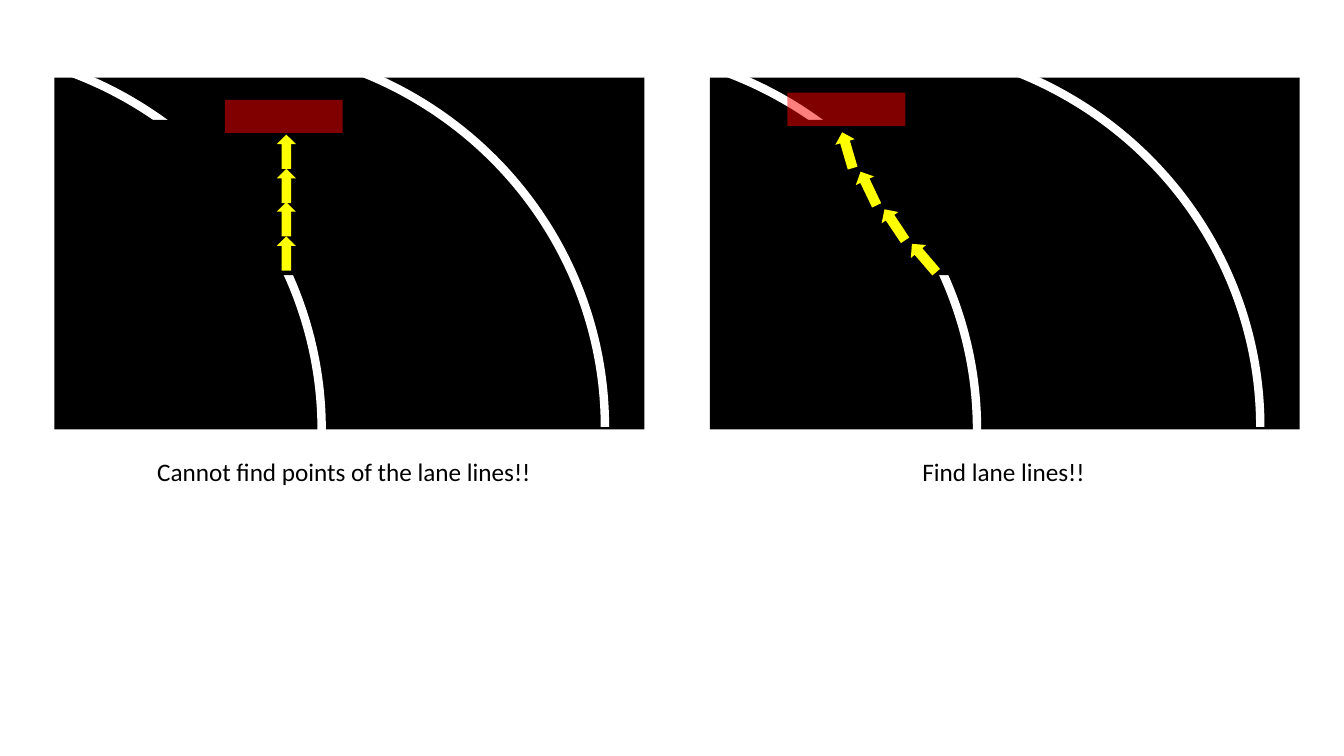
from pptx import Presentation
from pptx.dml.color import RGBColor
from pptx.enum.shapes import MSO_SHAPE as Shape
from pptx.enum.text import MSO_AUTO_SIZE as Fit
from pptx.oxml.ns import qn
from pptx.util import Inches, Pt
from lxml import etree

# Content: arrows are (left, top, turn), lengths in inches
STEP = 6.5
ROAD = (0.54, 0.77, 5.85, 3.49)
LANES = [(-4.53, 0.47, 7.72, 7.59), (-1.72, 0.44, 7.72, 7.59)]
GAP = (1.26, 1.19, 2.34, 1.54)
PANELS = [
    {"arrows": [(2.67, round(2.42 - 0.337 * i, 2), 270) for i in range(4)],
     "size": (0.34, 0.19),
     "window": (2.23, 0.99, 1.17, 0.33),
     "label": "Cannot find points of the lane lines!!",
     "text": (1.46, 4.48, 4.02, 0.4)},
    {"arrows": [(8.98, 2.46, 229.4), (8.69, 2.13, 236.3),
                (8.43, 1.77, 244.5), (8.22, 1.39, 253.7)],
     "size": (0.37, 0.2),
     "window": (7.81, 0.92, 1.17, 0.33),
     "label": "Find lane lines!!",
     "text": (9.05, 4.48, 1.83, 0.4)},
]


def paint(part, color):
    part.solid()
    part.fore_color.rgb = RGBColor.from_string(color)


def add(group, kind, box, color, turn=0):
    shape = group.shapes.add_shape(kind, *map(Inches, box))
    shape.shadow.inherit = False
    shape.rotation = turn
    if kind == Shape.ARC:
        shape.fill.background()
        paint(shape.line.fill, color)
        shape.line.width = Pt(6)
    else:
        paint(shape.fill, color)
        shape.line.fill.background()
    return shape


def fade(shape, percent):
    color = shape.fill._xPr.find(qn("a:solidFill"))[0]
    etree.SubElement(color, qn("a:alpha")).set("val", str(percent * 1000))


def write(group, box, words):
    frame = group.shapes.add_textbox(*map(Inches, box)).text_frame
    frame.text = words
    frame.word_wrap = False
    frame.auto_size = Fit.SHAPE_TO_FIT_TEXT
    font = frame.paragraphs[0].runs[0].font
    font.name, font.size = "Calibri", Pt(18)
    paint(font.fill, "000000")


def draw(slide, panel, shift):
    group = slide.shapes.add_group_shape()

    def move(box):
        return (box[0] + shift, *box[1:])

    # Road with two lane lines, the left one broken by a gap
    add(group, Shape.RECTANGLE, move(ROAD), "000000")
    for lane in LANES:
        add(group, Shape.ARC, move(lane), "FFFFFF")
    add(group, Shape.RECTANGLE, move(GAP), "000000")

    # Search path and window
    for left, top, turn in panel["arrows"]:
        add(group, Shape.RIGHT_ARROW, (left, top, *panel["size"]), "FFFF00", turn)
    fade(add(group, Shape.RECTANGLE, panel["window"], "FF0000"), 50)

    write(group, panel["text"], panel["label"])


def main():
    deck = Presentation()
    deck.slide_width, deck.slide_height = Inches(13.33), Inches(7.5)
    slide = deck.slides.add_slide(deck.slide_layouts[6])
    for i, panel in enumerate(PANELS):
        draw(slide, panel, i * STEP)
    deck.save("out.pptx")


if __name__ == "__main__":
    main()
